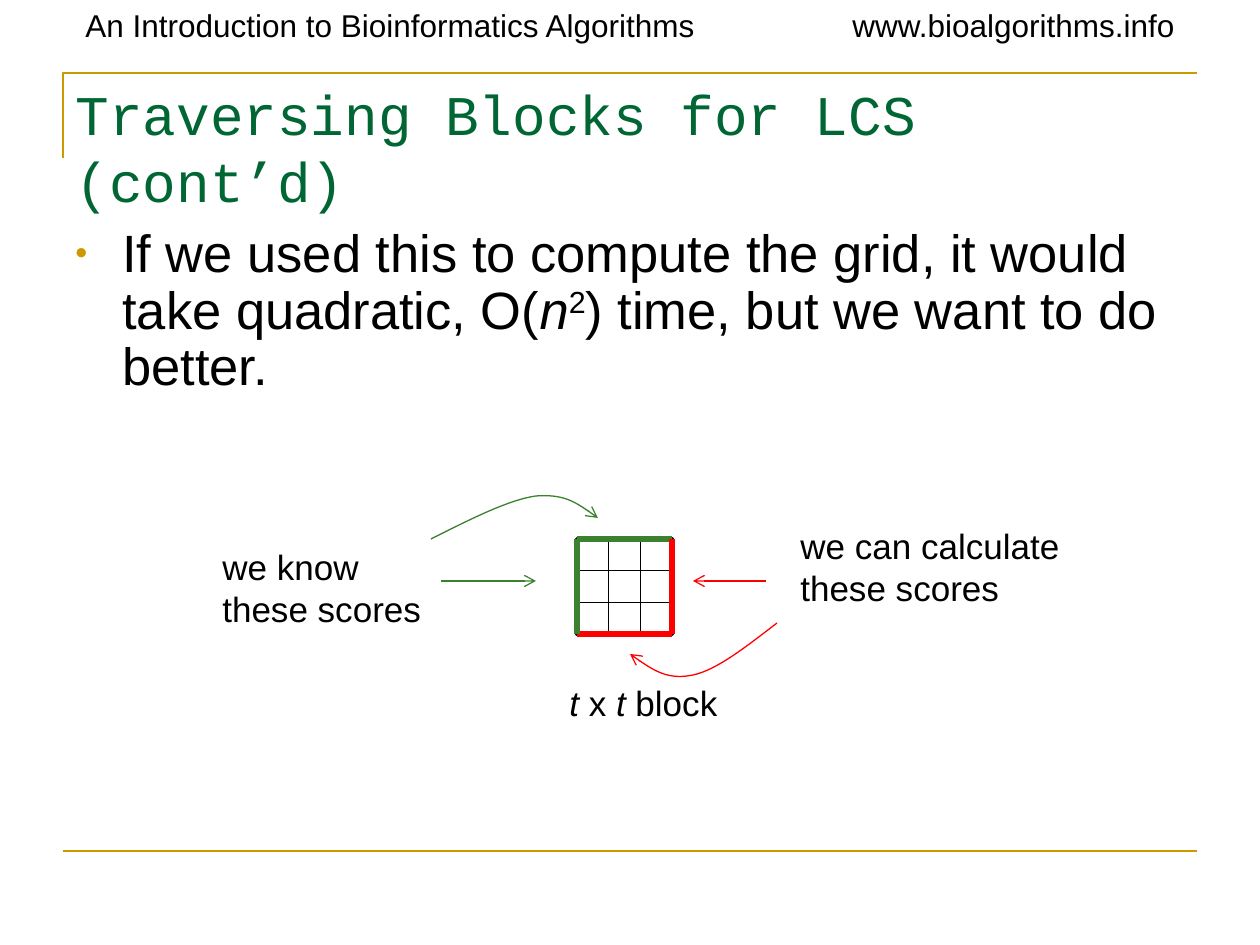
from lxml.etree import SubElement
from pptx import Presentation
from pptx.dml.color import RGBColor
from pptx.enum.shapes import MSO_CONNECTOR, MSO_SHAPE
from pptx.enum.text import MSO_ANCHOR, MSO_AUTO_SIZE, PP_ALIGN
from pptx.oxml.ns import qn
from pptx.util import Pt

EMU_PER_PX = 914400 // 126
GOLD, TITLE_GREEN = "CC9900", "006633"
KNOWN, CALCULATED, BLACK = "3B812F", "FF0000", "000000"


def px(length):
    return round(length * EMU_PER_PX)


def color(hex_value):
    return RGBColor.from_string(hex_value)


def style_line(element, hex_value, width, arrow=False):
    element.line.color.rgb = color(hex_value)
    element.line.width = Pt(width)
    if arrow:
        SubElement(element.line._get_or_add_ln(), qn("a:tailEnd"), type="arrow")


def add_line(slide, start, end, hex_value, width, arrow=False):
    line = slide.shapes.add_connector(
        MSO_CONNECTOR.STRAIGHT, *map(px, (*start, *end)))
    style_line(line, hex_value, width, arrow)
    SubElement(line._element.spPr, qn("a:effectLst"))


def add_outline(slide, points, hex_value, width, arrow=False):
    builder = slide.shapes.build_freeform(*points[0], scale=EMU_PER_PX)
    builder.add_line_segments(points[1:], close=False)
    outline = builder.convert_to_shape()
    outline.fill.background()
    outline.shadow.inherit = False
    style_line(outline, hex_value, width, arrow)
    return outline


def add_curved_arrow(slide, points, hex_value):
    """Draw a start point followed by cubic triples (two controls, one end)."""
    curve = add_outline(slide, points, hex_value, 0.75, arrow=True)
    outline = next(curve._element.iter(qn("a:moveTo"))).getparent()
    segments = outline.findall(qn("a:lnTo"))
    for first in range(0, len(segments), 3):
        cubic = SubElement(outline, qn("a:cubicBezTo"))
        for segment in segments[first:first + 3]:
            cubic.append(segment[0])
            outline.remove(segment)


def add_runs(paragraph, runs, size, font="Arial", hex_value=BLACK):
    """Add (text, style) runs; style is "", "italic" or "super"."""
    for text, style in runs:
        run = paragraph.add_run()
        run.text = text
        run.font.name = font
        run.font.size = Pt(size)
        run.font.color.rgb = color(hex_value)
        run.font.italic = style == "italic"
        if style == "super":
            run.font._element.set("baseline", "30000")


def add_text(slide, box, runs, size, space_before):
    frame = slide.shapes.add_textbox(*map(px, box)).text_frame
    frame.word_wrap = True
    paragraph = frame.paragraphs[0]
    paragraph.space_before = Pt(space_before)
    add_runs(paragraph, runs, size)
    return paragraph


def add_bullet(paragraph):
    properties = paragraph._p.get_or_add_pPr()
    properties.set("marL", str(px(47)))
    properties.set("indent", str(px(-47)))
    bullet_color = SubElement(properties, qn("a:buClr"))
    SubElement(bullet_color, qn("a:srgbClr"), val=GOLD)
    SubElement(properties, qn("a:buSzPct"), val="65000")
    SubElement(properties, qn("a:buFont"), typeface="Arial")
    SubElement(properties, qn("a:buChar"), char="•")


def set_title(slide, text):
    title = slide.shapes.title
    title.left, title.top, title.width, title.height = map(px, (63, 73, 1134, 122))
    frame = title.text_frame
    frame.word_wrap = True
    frame.auto_size = MSO_AUTO_SIZE.NONE
    frame.vertical_anchor = MSO_ANCHOR.TOP
    frame.paragraphs[0].alignment = PP_ALIGN.LEFT
    add_runs(frame.paragraphs[0], [(text, "")], 32, "Courier New", TITLE_GREEN)


def add_block(slide, left, top, side, cells):
    """Draw the grid with its known and calculated edges."""
    right, bottom = left + side, top + side
    square = slide.shapes.add_shape(
        MSO_SHAPE.RECTANGLE, *map(px, (left, top, side, side)))
    square.fill.background()
    square.shadow.inherit = False
    style_line(square, BLACK, 2)
    for step in range(1, cells):
        offset = side * step / cells
        add_line(slide, (left, top + offset), (right, top + offset), BLACK, 0.75)
        add_line(slide, (left + offset, top), (left + offset, bottom), BLACK, 0.75)
    add_line(slide, (left, top), (right, top), KNOWN, 3)
    add_line(slide, (left, bottom), (right, bottom), CALCULATED, 3)
    add_line(slide, (left, top), (left, bottom), KNOWN, 3)
    add_line(slide, (right, top), (right, bottom), CALCULATED, 3)


def main():
    deck = Presentation()
    deck.slide_width, deck.slide_height = px(1260), px(945)
    slide = deck.slides.add_slide(deck.slide_layouts[5])

    add_outline(slide, [(63, 158), (63, 73), (1197, 73)], GOLD, 1.5)
    add_line(slide, (63, 851), (1197, 851), GOLD, 1.5)
    add_text(slide, (73, 0, 693, 50),
             [("An Introduction to Bioinformatics Algorithms", "")], 18, 11.2)
    add_text(slide, (840, 0, 368, 50), [("www.bioalgorithms.info", "")], 18, 11.2)

    set_title(slide, "Traversing Blocks for LCS (cont’d)")
    statement = add_text(slide, (63, 221, 1134, 199), [
        ("If we used this to compute the grid, it would take quadratic, O(", ""),
        ("n", "italic"),
        ("2", "super"),
        (") time, but we want to do better.", ""),
    ], 30, 7.5)
    statement.line_spacing = 0.9
    add_bullet(statement)

    add_block(slide, 577, 539, 95, 3)
    add_text(slide, (210, 539, 252, 97), [("we know these scores", "")], 20, 12.5)
    add_text(slide, (788, 518, 305, 97),
             [("we can calculate these scores", "")], 20, 12.5)
    add_curved_arrow(slide, [(431, 539), (469, 520), (508, 500), (536, 496),
                             (563, 494), (581, 505), (598, 518)], KNOWN)
    add_line(slide, (441, 581), (536, 581), KNOWN, 0.75, arrow=True)
    add_line(slide, (766, 581), (693, 581), CALCULATED, 0.75, arrow=True)
    add_curved_arrow(slide, [(777, 623), (747, 646), (717, 670), (693, 675),
                             (669, 680), (649, 668), (630, 654)], CALCULATED)
    add_text(slide, (557, 675, 179, 55), [
        ("t", "italic"), (" x ", ""), ("t", "italic"), (" block", ""),
    ], 20, 12.5)
    deck.save("out.pptx")


if __name__ == "__main__":
    main()
